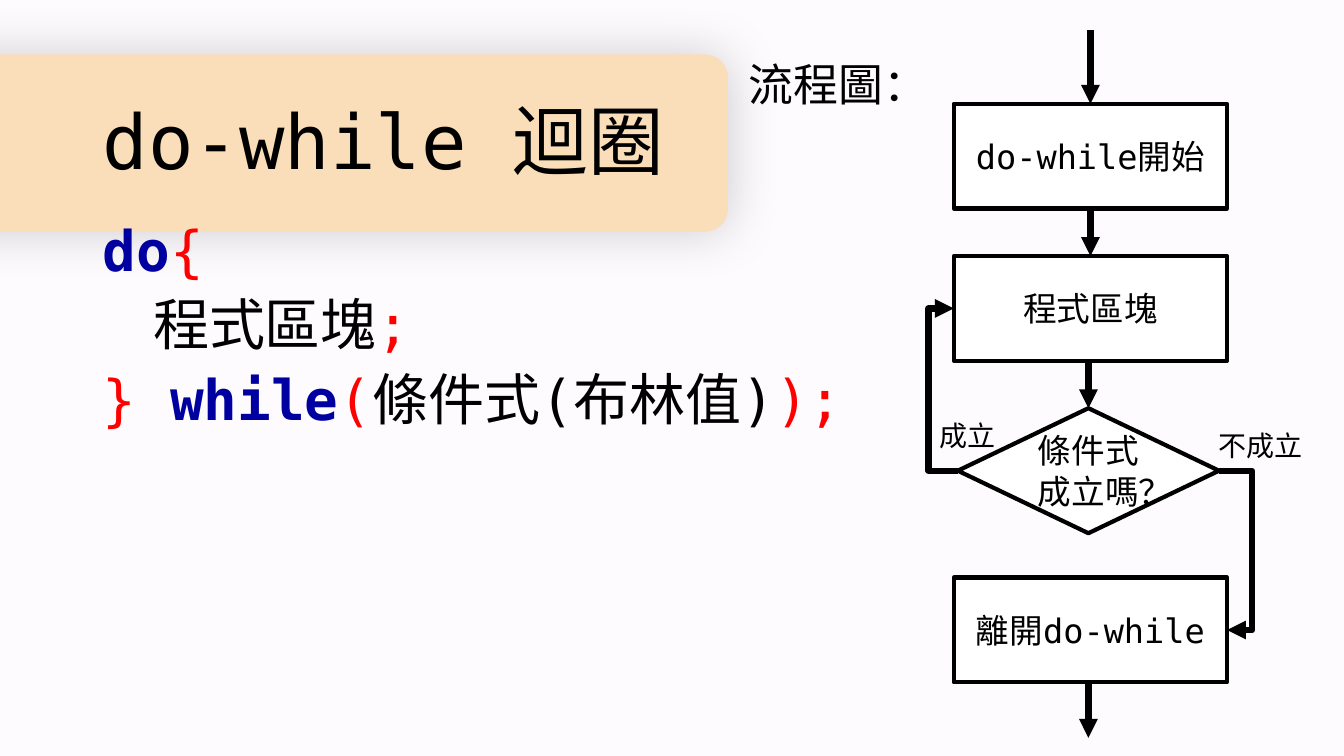
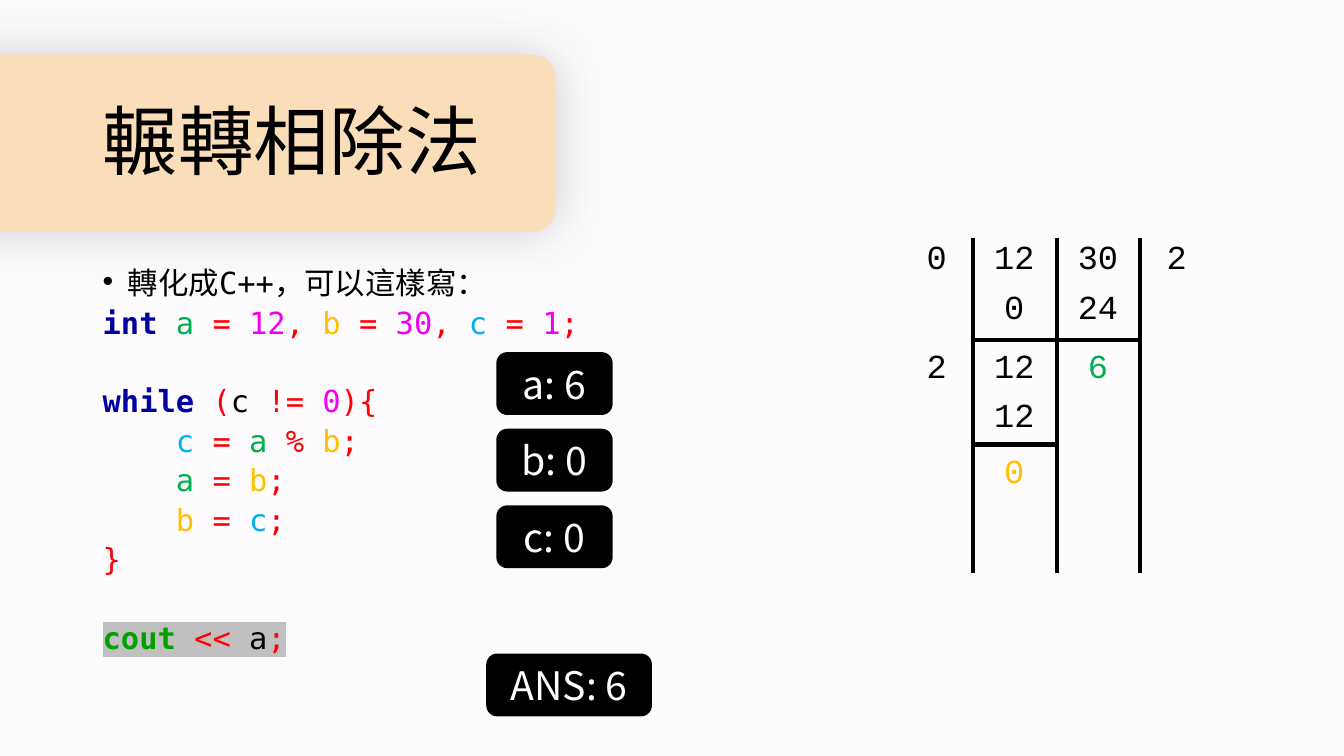
import lxml.etree
import pptx
import pptx.dml.color
import pptx.enum.shapes
import pptx.enum.text
import pptx.oxml
import pptx.oxml.ns
import pptx.util

Inches = pptx.util.Inches
Pt = pptx.util.Pt
SHAPE = pptx.enum.shapes.MSO_SHAPE
CONNECTOR = pptx.enum.shapes.MSO_CONNECTOR
ALIGN = pptx.enum.text.PP_ALIGN
ANCHOR = pptx.enum.text.MSO_ANCHOR
qn = pptx.oxml.ns.qn

MONO, COURIER, SANS = "DejaVu Sans Mono", "Courier New", "Noto Sans CJK TC"
BACKGROUND, BAND, BLACK, WHITE = "FEFBFF", "F9DEB9", "000000", "FFFFFF"
KEYWORD, STREAM, SYMBOL, NUMBER = "0000A0", "00A000", "FF0000", "F000F0"
VAR_A, VAR_B, VAR_C = "00B050", "FFC000", "00B0F0"
HIGHLIGHT = "C0C0C0"

DO_WHILE_CODE = [
    [("do", KEYWORD), ("{", SYMBOL)],
    [("\t", SYMBOL), ("程式區塊", BLACK), (";", SYMBOL)],
    [("} ", SYMBOL), ("while", KEYWORD), ("(", SYMBOL), ("條件式(布林值)", BLACK), (");", SYMBOL)],
]
EUCLID_CODE = [
    [("轉化成C++，可以這樣寫：", BLACK)],
    [("int ", KEYWORD), ("a ", VAR_A), ("= ", SYMBOL), ("12", NUMBER), (", ", SYMBOL),
     ("b ", VAR_B), ("= ", SYMBOL), ("30", NUMBER), (", ", SYMBOL),
     ("c ", VAR_C), ("= ", SYMBOL), ("1", NUMBER), (";", SYMBOL)],
    [("while ", KEYWORD), ("(", SYMBOL), ("c ", BLACK), ("!= ", SYMBOL), ("0", NUMBER), ("){", SYMBOL)],
    [("    ", SYMBOL), ("c ", VAR_C), ("= ", SYMBOL), ("a ", VAR_A), ("% ", SYMBOL),
     ("b", VAR_B), (";", SYMBOL)],
    [("    ", SYMBOL), ("a ", VAR_A), ("= ", SYMBOL), ("b", VAR_B), (";", SYMBOL)],
    [("    ", SYMBOL), ("b ", VAR_B), ("= ", SYMBOL), ("c", VAR_C), (";", SYMBOL)],
    [("}", SYMBOL)],
    [("cout ", STREAM), ("<< ", SYMBOL), ("a", BLACK), (";", SYMBOL)],
]


def rgb(color):
    return pptx.dml.color.RGBColor.from_string(color)


def add_xml(parent, tag, **attributes):
    return lxml.etree.SubElement(parent, qn(tag), attributes)


def style_font(paragraph, size, color=BLACK, face=MONO):
    """Set the paragraph font, for Latin and East Asian text alike."""
    font = paragraph.font
    font.size = Pt(size)
    font.name = face
    font.color.rgb = rgb(color)
    add_xml(paragraph._p.pPr.find(qn("a:defRPr")), "a:ea", typeface=face)


def write(shape, text, size, color=BLACK, face=MONO, align=None, anchor=ANCHOR.TOP,
          wrap=True, line_spacing=None):
    frame = shape.text_frame
    frame.word_wrap = wrap
    frame.vertical_anchor = anchor
    paragraph = frame.paragraphs[0]
    paragraph.text = text
    paragraph.alignment = align
    paragraph.line_spacing = line_spacing
    style_font(paragraph, size, color, face)


def add_label(slide, text, left, top, width, height, size, **style):
    box = slide.shapes.add_textbox(Inches(left), Inches(top), Inches(width), Inches(height))
    write(box, text, size, **style)


def add_block(slide, kind, left, top, width, height, fill, line=None, line_width=3):
    block = slide.shapes.add_shape(kind, Inches(left), Inches(top), Inches(width), Inches(height))
    block.shadow.inherit = False
    block.fill.solid()
    block.fill.fore_color.rgb = rgb(fill)
    if line:
        block.line.color.rgb = rgb(line)
        block.line.width = Pt(line_width)
    else:
        block.line.fill.background()
    return block


def add_line(slide, start, end, width=3, arrow=False, kind=CONNECTOR.STRAIGHT):
    line = slide.shapes.add_connector(kind, *map(Inches, start + end))
    line.line.color.rgb = rgb(BLACK)
    line.line.width = Pt(width)
    if arrow:
        add_xml(line.line._get_or_add_ln(), "a:tailEnd", type="triangle")
    add_xml(line._element.spPr, "a:effectLst")
    return line


def add_bent_arrow(slide, source, target, side, bend_x):
    """Join the same side (connection site) of two shapes, turning at bend_x."""
    arrow = add_line(slide, (0, 0), (1, 1), 4.5, True, CONNECTOR.ELBOW)
    arrow.begin_connect(source, side)
    arrow.end_connect(target, side)
    bend = (Inches(bend_x) - arrow.begin_x) / (arrow.end_x - arrow.begin_x)
    geometry = arrow._element.spPr.find(qn("a:prstGeom"))
    guides = geometry.find(qn("a:avLst"))
    if guides is None:
        guides = add_xml(geometry, "a:avLst")
    add_xml(guides, "a:gd", name="adj1", fmla=f"val {round(bend * 100000)}")


def add_title_slide(deck, title, band_width):
    """Add a slide with the shared background, title band and title."""
    slide = deck.slides.add_slide(deck.slide_layouts[6])
    slide.background.fill.solid()
    slide.background.fill.fore_color.rgb = rgb(BACKGROUND)
    band = add_block(slide, SHAPE.ROUNDED_RECTANGLE, -1.57, 0.54, band_width, 1.76, BAND)
    band.adjustments[0] = 0.13
    effects = band._element.spPr.find(qn("a:effectLst"))
    shadow = add_xml(effects, "a:outerShdw", blurRad=str(Pt(38)), dist="0", dir="0",
                     algn="ctr", rotWithShape="0")
    add_xml(add_xml(shadow, "a:srgbClr", val=BLACK), "a:alpha", val="19000")
    add_label(slide, title, 0.92, 0.71, 11.5, 1.45, 54, anchor=ANCHOR.MIDDLE, line_spacing=0.9)
    return slide


def add_code(slide, lines, top, height, size, line_spacing):
    """Write coloured code lines and return their paragraphs."""
    box = slide.shapes.add_textbox(Inches(0.92), Inches(top), Inches(11.5), Inches(height))
    frame = box.text_frame
    frame.word_wrap = True
    for index, tokens in enumerate(lines):
        paragraph = frame.add_paragraph() if index else frame.paragraphs[0]
        paragraph.line_spacing = line_spacing
        if index:
            paragraph.space_before = Pt(10)
        style_font(paragraph, size)
        for text, color in tokens:
            run = paragraph.add_run()
            run.text = text
            run.font.color.rgb = rgb(color)
            if color in (KEYWORD, STREAM):
                run.font.bold = True
    return frame.paragraphs


def add_bullet(paragraph):
    properties = paragraph._p.get_or_add_pPr()
    properties.set("marL", str(Inches(0.25)))
    properties.set("indent", str(-Inches(0.25)))
    font = properties.find(qn("a:defRPr"))
    for tag, attributes in (("a:buFont", {"typeface": "Arial"}), ("a:buChar", {"char": "•"})):
        font.addprevious(lxml.etree.Element(qn(tag), attributes))


def add_flowchart(slide, left, top):
    width, height = 2.71, 1.04
    middle = left + width / 2

    def add_step(kind, text, x, y, w, h):
        step = add_block(slide, kind, x, y, w, h, WHITE, BLACK)
        write(step, text, 24, align=ALIGN.CENTER, anchor=ANCHOR.MIDDLE)
        return step

    start_y, body_y, test_y, leave_y = (top + offset for offset in (0.73, 2.24, 3.75, 5.43))
    test = add_step(SHAPE.FLOWCHART_DECISION, "條件式成立嗎？", left + 0.04, test_y, 2.59, 1.24)
    _, body, leave = [
        add_step(SHAPE.RECTANGLE, text, left, y, width, height)
        for text, y in (("do-while開始", start_y), ("程式區塊", body_y), ("離開do-while", leave_y))
    ]
    for x, y, end_y in ((middle, top, start_y), (middle, start_y + height, body_y),
                        (middle - 0.02, body_y + height, test_y),
                        (middle - 0.02, leave_y + height, top + 7.02)):
        add_line(slide, (x, y), (x, end_y), 4.5, True)
    add_bent_arrow(slide, test, leave, 3, left + 2.96)
    add_bent_arrow(slide, test, body, 1, left - 0.25)
    add_label(slide, "不成立", left + 2.53, top + 3.9, 1.34, 0.44, 20)
    add_label(slide, "成立", left - 0.24, top + 3.8, 0.92, 0.44, 20)
    add_label(slide, "流程圖：", left - 2.13, top + 0.27, 2.17, 0.59, 32, line_spacing=0.9)


def add_division(slide, left, top):
    """Draw the ladder of divisions; left and top are its first divider's upper end."""
    column = 0.83
    for index in range(3):
        x = left + index * column
        add_line(slide, (x, top), (x, top + 3.32))
    for index, offset in ((0, 1.01), (1, 1.01), (0, 2.05)):
        x, y = left + index * column, top + offset
        add_line(slide, (x + column, y), (x, y))
    centers = [left + offset for offset in (-0.36, 0.41, 1.24, 2.02)]
    rows = [
        (-0.07, ("0", "12", "30", "2")),
        (0.43, ("", "0", "24", "")),
        (1.01, ("2", "12", "6", "")),
        (1.5, ("", "12", "", "")),
        (2.05, ("", "0", "", "")),
    ]
    result_colors = {(2, 2): VAR_A, (4, 1): VAR_B}
    for row, (offset, numbers) in enumerate(rows):
        for col, number in enumerate(numbers):
            if number:
                add_label(slide, number, centers[col] - 0.3, top + offset, 0.6, 0.5, 24,
                          color=result_colors.get((row, col), BLACK), face=COURIER,
                          align=ALIGN.CENTER, wrap=False)


def add_badge(slide, text, left, top, width):
    badge = add_block(slide, SHAPE.ROUNDED_RECTANGLE, left, top, width, 0.61, BLACK, BLACK, 1)
    write(badge, text, 28, WHITE, SANS, ALIGN.CENTER, ANCHOR.MIDDLE)


def build_do_while(deck):
    slide = add_title_slide(deck, "do-while 迴圈", 8.79)
    add_code(slide, DO_WHILE_CODE, 2.16, 4.59, 40, 0.9)
    add_flowchart(slide, 9.46, 0.3)


def build_euclid(deck):
    slide = add_title_slide(deck, "輾轉相除法", 7.08)
    lines = add_code(slide, EUCLID_CODE, 2.67, 4.09, 21.7, 0.7)
    add_bullet(lines[0])
    loop, output = lines[2], lines[-1]
    for paragraph in (loop, output):
        paragraph.space_before = Pt(38)
    for run in output.runs:
        add_xml(add_xml(run._r.get_or_add_rPr(), "a:highlight"), "a:srgbClr", val=HIGHLIGHT)
    add_division(slide, 9.65, 2.36)
    for index, text in enumerate(("a: 6", "b: 0", "c: 0")):
        add_badge(slide, text, 4.93, 3.5 + index * 0.76, 1.14)
    add_badge(slide, "ANS: 6", 4.83, 6.49, 1.63)


def main():
    deck = pptx.Presentation()
    deck.slide_width, deck.slide_height = Inches(13.33), Inches(7.5)
    build_do_while(deck)
    build_euclid(deck)
    deck.save("out.pptx")


if __name__ == "__main__":
    main()
